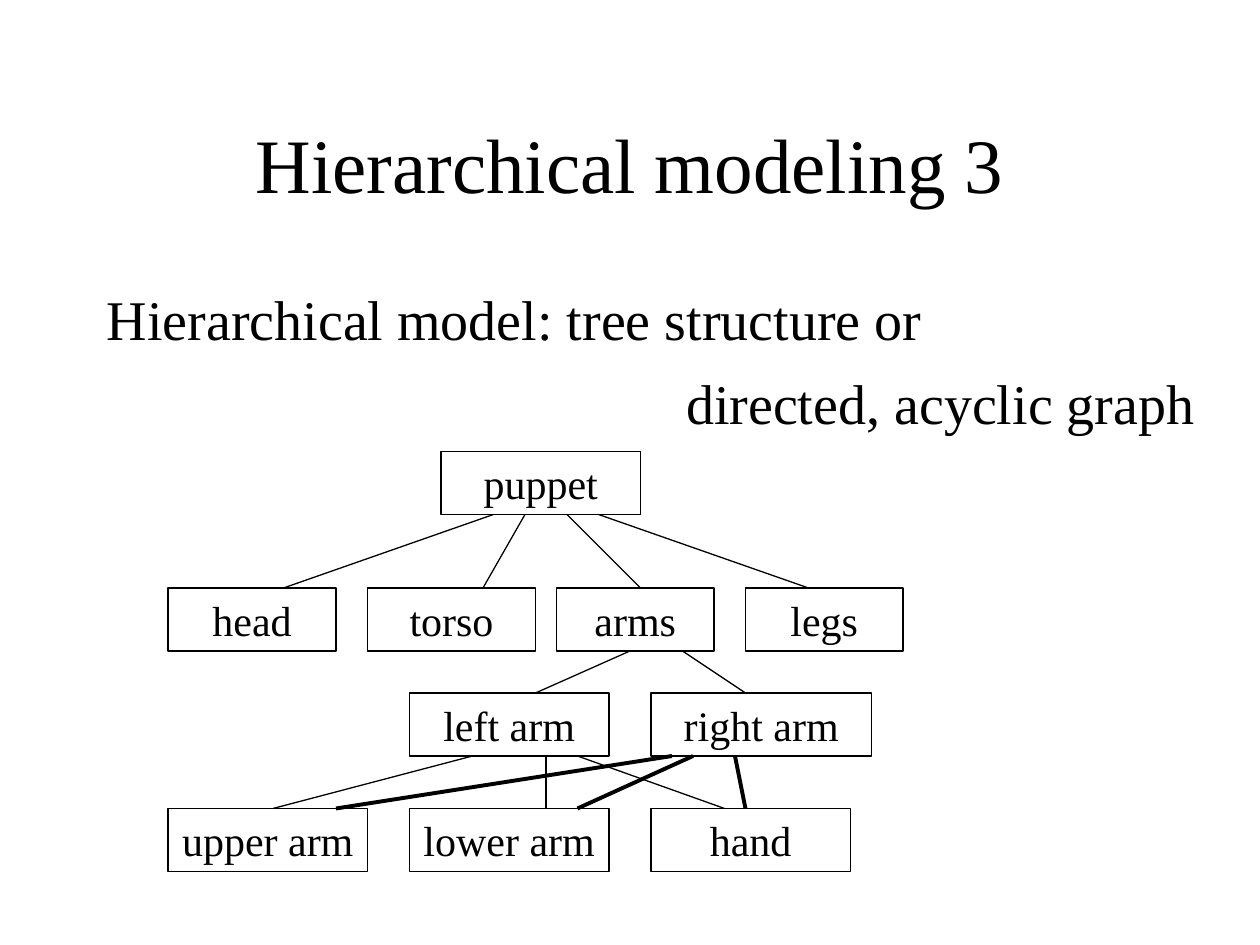
from pptx import Presentation
from pptx.dml.color import RGBColor
from pptx.enum.shapes import MSO_CONNECTOR, MSO_SHAPE
from pptx.enum.text import MSO_ANCHOR, PP_ALIGN
from pptx.oxml.ns import qn
from pptx.util import Pt
from lxml.etree import SubElement

BLACK = RGBColor(0, 0, 0)
FACE = "Times New Roman"
HIGH = 36
THIN, THICK = 0.75, 2.25

ROWS = [
    (0, [("puppet", 156, 114)]),
    (78, [("head", 0, 96), ("torso", 114, 96), ("arms", 222, 90), ("legs", 330, 90)]),
    (138, [("left arm", 138, 114), ("right arm", 276, 126)]),
    (204, [("upper arm", 0, 114), ("lower arm", 138, 114), ("hand", 276, 114)]),
]
LINKS = [
    (2, THICK, [(288, 96), (300, 234), (324, 330)]),
    (0, THIN, [(186, 66), (204, 180), (228, 270), (246, 366)]),
    (1, THIN, [(264, 210), (294, 330)]),
    (2, THIN, [(174, 60), (216, 216), (234, 318)]),
]


def style(para, text, size, align):
    para.text = text
    para.alignment = align
    for name, value in {"name": FACE, "size": Pt(size)}.items():
        setattr(para.font, name, value)
    para.font.color.rgb = BLACK


def place(shape, box):
    for name, value in zip(("left", "top", "width", "height"), box):
        setattr(shape, name, Pt(value))


def add_title(slide, box):
    title = slide.shapes.title
    place(title, box)
    title.text_frame.vertical_anchor = MSO_ANCHOR.MIDDLE
    style(title.text_frame.paragraphs[0], "Hierarchical modeling 3", 44, PP_ALIGN.CENTER)


def add_body(slide, box):
    frame = slide.shapes.add_textbox(*map(Pt, box)).text_frame
    frame.word_wrap = True
    style(frame.paragraphs[0], "Hierarchical model: tree structure or", 32, PP_ALIGN.LEFT)
    para = frame.add_paragraph()
    style(para, "directed, acyclic graph", 32, PP_ALIGN.RIGHT)
    para.space_before = Pt(9.5)


def add_link(slide, start, end, width):
    link = slide.shapes.add_connector(MSO_CONNECTOR.STRAIGHT, *map(Pt, start + end))
    link.line.color.rgb = BLACK
    link.line.width = Pt(width)
    SubElement(link._element.spPr, qn("a:effectLst"))


def add_node(slide, text, box):
    node = slide.shapes.add_shape(MSO_SHAPE.RECTANGLE, *map(Pt, box))
    node.shadow.inherit = False
    node.fill.background()
    node.line.color.rgb = BLACK
    node.line.width = Pt(THIN)
    frame = node.text_frame
    frame.word_wrap = False
    frame.vertical_anchor = MSO_ANCHOR.MIDDLE
    style(frame.paragraphs[0], text, 24, PP_ALIGN.CENTER)


def add_tree(slide, left, top):
    for row, width, pairs in LINKS:
        above, below = top + ROWS[row][0] + HIGH, top + ROWS[row + 1][0]
        for start, end in pairs:
            add_link(slide, (left + start, above), (left + end, below), width)
    for down, nodes in ROWS:
        for text, across, width in nodes:
            add_node(slide, text, (left + across, top + down, width, HIGH))


def main():
    deck = Presentation()
    deck.slide_width, deck.slide_height = Pt(720), Pt(540)
    slide = deck.slides.add_slide(deck.slide_layouts[5])
    add_title(slide, (54, 48, 612, 90))
    add_body(slide, (54, 159, 636, 306))
    add_tree(slide, 96, 258)
    deck.save("out.pptx")


if __name__ == "__main__":
    main()
